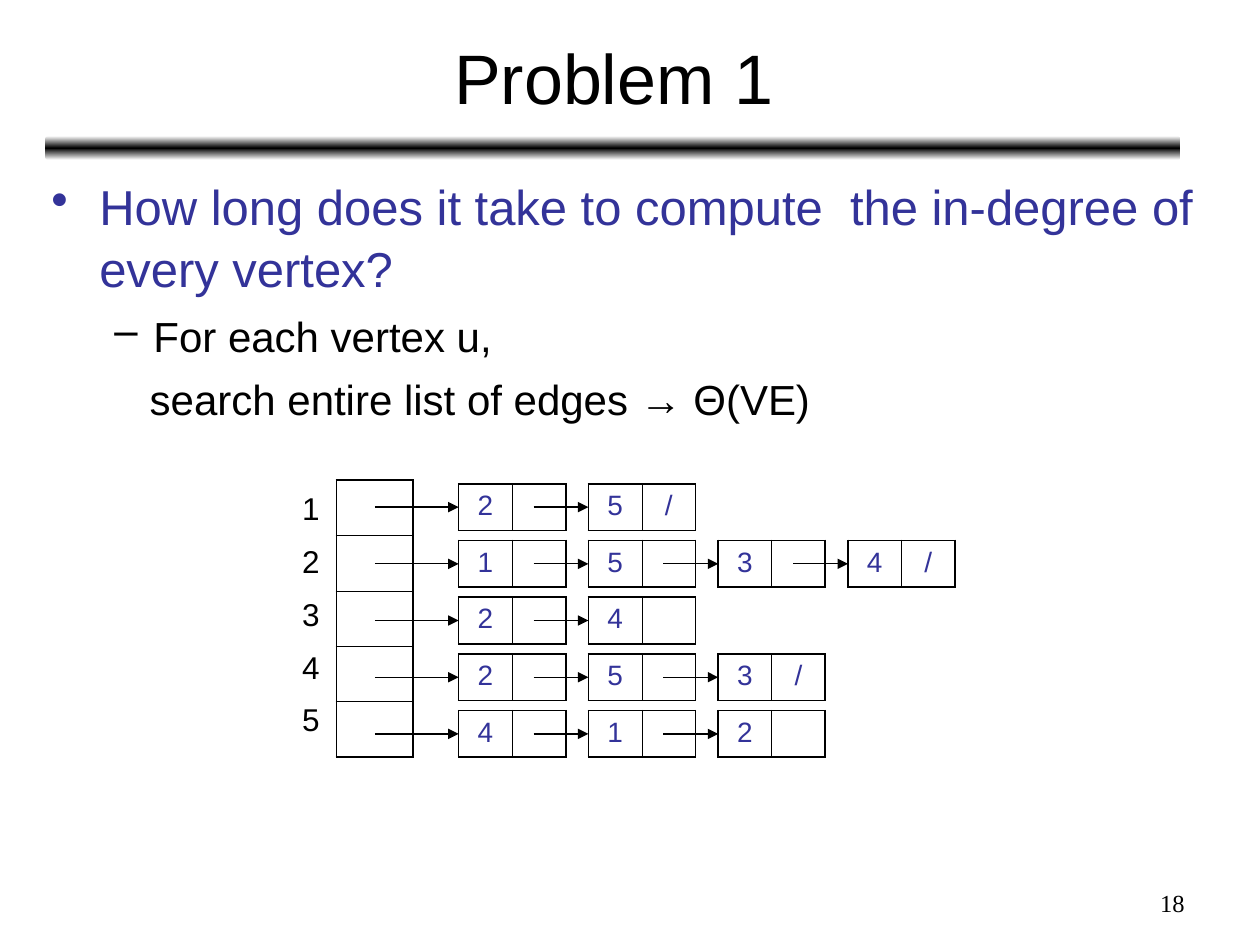
"""Build the slide on computing in-degrees from an adjacency list."""
from copy import deepcopy
from dataclasses import dataclass

from lxml.etree import SubElement
from pptx import Presentation
from pptx.dml.color import RGBColor
from pptx.enum.shapes import MSO_CONNECTOR as Connector, MSO_SHAPE as Shape
from pptx.enum.text import MSO_ANCHOR as Anchor, PP_ALIGN as Align
from pptx.oxml.ns import qn
from pptx.util import Inches, Pt


@dataclass(frozen=True)
class Theme:
    ink: str = "000000"
    accent: str = "333399"
    paper: str = "FFFFFF"
    sans: str = "Arial"
    serif: str = "Times New Roman"
    title: int = 40
    question: int = 28
    answer: int = 24
    vertex: int = 18
    node: int = 16
    page: int = 14
    outer: float = 1.08
    inner: float = 0.45
    arrow: float = 0.75


THEME = Theme()
TITLE = "Problem 1"
PAGE = "18"
OUTLINE = [
    ("How long does it take to compute  the in-degree of every vertex?",
     THEME.question, THEME.accent, "•", 0.38, -0.38, 0),
    ("For each vertex u,", THEME.answer, THEME.ink, "–", 0.81, -0.31, 6),
    ("search entire list of edges → Θ(VE)", THEME.answer, THEME.ink, None, 0.78, 0, 6),
]
ADJACENCY = {
    "1": [("2", ""), ("5", "/")],
    "2": [("1", ""), ("5", ""), ("3", ""), ("4", "/")],
    "3": [("2", ""), ("4", "")],
    "4": [("2", ""), ("5", ""), ("3", "/")],
    "5": [("4", ""), ("1", ""), ("2", "")],
}

WIDTH, HEIGHT = 10, 7.5
LIST_LEFT, LIST_TOP, LIST_PITCH = 3.64, 3.84, 0.45
NODE_PITCH, CELL_W, NODE_H = 1.03, 0.425, 0.37
HEADS_LEFT, HEADS_TOP, HEADS_W, HEADS_H = 2.67, 3.81, 0.61, 0.44
LABEL_LEFT, LABEL_TOP, LABEL_PITCH = 2.3, 3.83, 0.42


def box(left, top, width, height):
    return [Inches(value) for value in (left, top, width, height)]


def style(paragraph, size, color=THEME.ink, face=THEME.sans, align=None):
    paragraph.alignment = align
    font = paragraph.font
    font.size, font.name = Pt(size), face
    font.color.rgb = RGBColor.from_string(color)


def add_text(slide, text, place, size, face=THEME.sans, align=None):
    frame = slide.shapes.add_textbox(*place).text_frame
    frame.word_wrap = True
    frame.text = text
    style(frame.paragraphs[0], size, face=face, align=align)


def add_border(cell, side, points):
    line = SubElement(cell._tc.get_or_add_tcPr(), qn(f"a:ln{side}"), w=str(Pt(points)))
    fill = SubElement(line, qn("a:solidFill"))
    SubElement(fill, qn("a:srgbClr"), val=THEME.ink)


def add_grid(slide, rows, left, top, cell_w, cell_h):
    height, width = len(rows), len(rows[0])
    place = box(left, top, width * cell_w, height * cell_h)
    table = slide.shapes.add_table(height, width, *place).table
    table.first_row = table.horz_banding = False
    for column in table.columns:
        column.width = Inches(cell_w)
    for r, row in enumerate(rows):
        table.rows[r].height = Inches(cell_h)
        for c, text in enumerate(row):
            cell = table.cell(r, c)
            cell.text = text
            style(cell.text_frame.paragraphs[0], THEME.node, THEME.accent, align=Align.CENTER)
            edges = {"L": c == 0, "R": c == width - 1, "T": r == 0, "B": r == height - 1}
            for side, is_outer in edges.items():
                add_border(cell, side, THEME.outer if is_outer else THEME.inner)
            cell.fill.background()


def add_arrow(slide, start, end, y):
    ends = [Inches(value) for value in (start, y, end, y)]
    arrow = slide.shapes.add_connector(Connector.STRAIGHT, *ends)
    arrow.line.width = Pt(THEME.arrow)
    arrow.line.color.rgb = RGBColor.from_string(THEME.ink)
    SubElement(arrow.line._get_or_add_ln(), qn("a:tailEnd"), type="triangle")
    SubElement(arrow._element.spPr, qn("a:effectLst"))


def add_title(slide):
    title = slide.shapes.title
    title.left, title.top, title.width, title.height = box(0.37, 0.11, 9, 0.99)
    title.text_frame.text = TITLE
    title.text_frame.vertical_anchor = Anchor.MIDDLE
    style(title.text_frame.paragraphs[0], THEME.title, align=Align.CENTER)


def add_rule(slide):
    rule = slide.shapes.add_shape(Shape.ROUNDED_RECTANGLE, *box(0.36, 1.08, 9.01, 0.19))
    rule.shadow.inherit = False
    rule.line.fill.background()
    rule.fill.gradient()
    rule.fill.gradient_angle = 90
    stops = rule._element.spPr.find(".//" + qn("a:gsLst"))
    stops.append(deepcopy(stops[0]))
    shades = [(0, THEME.paper), (0.5, THEME.ink), (1, THEME.paper)]
    for stop, (position, color) in zip(rule.fill.gradient_stops, shades):
        stop.position = position
        stop.color.rgb = RGBColor.from_string(color)


def add_outline(slide):
    frame = slide.shapes.add_textbox(*box(0.31, 1.33, 9.27, 5.55)).text_frame
    frame.word_wrap = True
    for index, (text, size, color, bullet, margin, indent, before) in enumerate(OUTLINE):
        paragraph = frame.add_paragraph() if index else frame.paragraphs[0]
        paragraph.text = text
        paragraph.line_spacing = 1.05
        paragraph.space_before = Pt(before)
        props = paragraph._p.get_or_add_pPr()
        props.set("marL", str(Inches(margin)))
        props.set("indent", str(Inches(indent)))
        if bullet:
            tint = SubElement(props, qn("a:buClr"))
            SubElement(tint, qn("a:srgbClr"), val=color)
            SubElement(props, qn("a:buChar"), char=bullet)
        style(paragraph, size, color)


def add_adjacency_list(slide):
    add_grid(slide, [[""]] * len(ADJACENCY), HEADS_LEFT, HEADS_TOP, HEADS_W, HEADS_H)
    for row, (vertex, nodes) in enumerate(ADJACENCY.items()):
        label = box(LABEL_LEFT, LABEL_TOP + row * LABEL_PITCH, 0.34, 0.4)
        add_text(slide, vertex, label, THEME.vertex)
        top = LIST_TOP + row * LIST_PITCH
        for column, node in enumerate(nodes):
            left = LIST_LEFT + column * NODE_PITCH
            add_grid(slide, [node], left, top, CELL_W, NODE_H)
            start = left - NODE_PITCH + 1.4 * CELL_W if column else HEADS_LEFT + HEADS_W / 2
            add_arrow(slide, start, left, top + NODE_H / 2)


def main():
    deck = Presentation()
    deck.slide_width, deck.slide_height = Inches(WIDTH), Inches(HEIGHT)
    slide = deck.slides.add_slide(deck.slide_layouts[5])
    add_rule(slide)
    add_title(slide)
    add_outline(slide)
    add_adjacency_list(slide)
    add_text(slide, PAGE, box(7.17, 7, 2.33, 0.35), THEME.page, THEME.serif, Align.RIGHT)
    deck.save("out.pptx")


if __name__ == "__main__":
    main()
